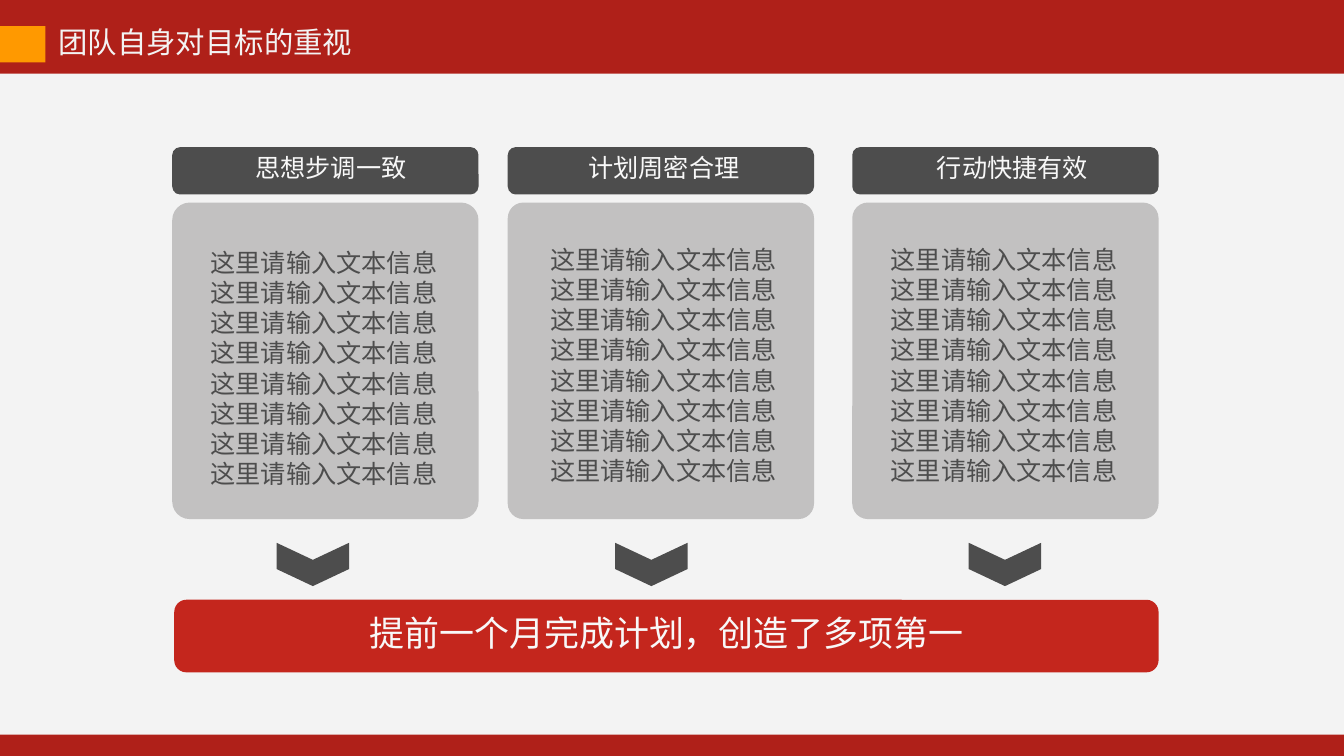
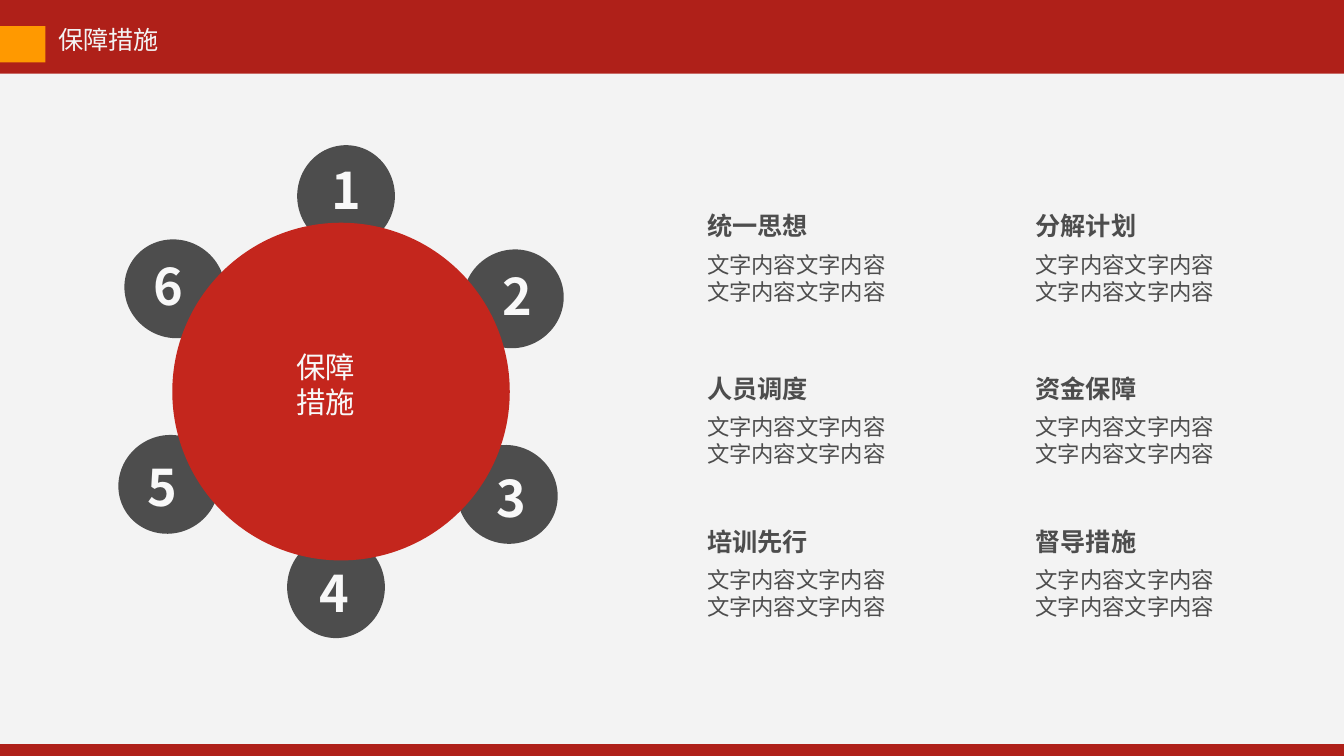
import math
from dataclasses import dataclass
from typing import NamedTuple

from lxml import etree
from pptx import Presentation
from pptx import util as u
from pptx.dml.color import RGBColor
from pptx.enum import shapes, text
from pptx.oxml.ns import qn

PX = 9144  # EMU in one px, 100 px to the inch
SLIDE_WIDTH, SLIDE_HEIGHT = 1334, 750
FONT = "Noto Sans CJK SC"
COLORS = {
    "band": "AF2019",
    "panel": "F3F3F3",
    "accent": "FF9900",
    "red": "C4261D",
    "dark": "4D4D4D",
    "grey": "C2C1C1",
    "light": "F8F8F8",
}
FRAME_FORMAT = {
    "auto_size": text.MSO_AUTO_SIZE.SHAPE_TO_FIT_TEXT,
    "vertical_anchor": text.MSO_ANCHOR.TOP,
    "margin_left": u.Inches(0.1),
    "margin_right": u.Inches(0.1),
    "margin_top": u.Inches(0.05),
    "margin_bottom": u.Inches(0.05),
}
RECTANGLE = shapes.MSO_SHAPE.RECTANGLE
ROUNDED = shapes.MSO_SHAPE.ROUNDED_RECTANGLE
OVAL = shapes.MSO_SHAPE.OVAL
CHEVRON = shapes.MSO_SHAPE.CHEVRON


class Box(NamedTuple):
    left: int
    top: int
    width: int
    height: int


@dataclass(frozen=True)
class TextStyle:
    size: int
    color: str
    bold: bool = False
    align: text.PP_ALIGN = text.PP_ALIGN.LEFT
    wrap: bool = True


@dataclass(frozen=True)
class Column:
    heading: str
    left: int
    heading_box: Box
    list_box: Box
    arrow_left: int
    corner: float


class Measure(NamedTuple):
    heading: str
    left: int
    top: int


COLUMNS = [
    Column("思想步调一致", 171, Box(212, 146, 233, 40), Box(199, 240, 253, 252), 289, 0.057),
    Column("计划周密合理", 504, Box(549, 146, 220, 40), Box(536, 237, 251, 252), 625, 0.051),
    Column("行动快捷有效", 846, Box(887, 146, 236, 40), Box(874, 237, 268, 252), 976, 0.051),
]
MEASURE_ROWS = [
    (204, ("统一思想", "分解计划")),
    (365, ("人员调度", "资金保障")),
    (517, ("培训先行", "督导措施")),
]
MEASURES = [
    Measure(heading, 692 + 326 * index, top)
    for top, headings in MEASURE_ROWS
    for index, heading in enumerate(headings)
]
COLUMN_HEADING = TextStyle(18, "light", align=text.PP_ALIGN.CENTER)
COLUMN_LIST = TextStyle(18, "dark")
CONCLUSION = TextStyle(25, "light", align=text.PP_ALIGN.CENTER)
HUB_TEXT = TextStyle(21, "light", wrap=False)
NUMBER = TextStyle(36, "light", bold=True, wrap=False)
MEASURE_HEADING = TextStyle(18, "dark", bold=True, wrap=False)
MEASURE_TEXT = TextStyle(16, "dark")


def emu(box: Box) -> list[int]:
    return [length * PX for length in box]


def rgb(name: str) -> RGBColor:
    return RGBColor.from_string(COLORS[name])


def centred_box(x: float, y: float, width: int, height: int) -> Box:
    return Box(round(x - width / 2), round(y - height / 2), width, height)


def apply(target, formats: dict) -> None:
    for name, value in formats.items():
        setattr(target, name, value)


def write(shape, lines: list[str], style: TextStyle) -> None:
    """Set one paragraph for each line, with the font for Latin and Chinese text."""
    frame = shape.text_frame
    apply(frame, {**FRAME_FORMAT, "word_wrap": style.wrap})
    for index, line in enumerate(lines):
        paragraph = frame.add_paragraph() if index else frame.paragraphs[0]
        apply(paragraph, {"alignment": style.align, "space_before": u.Pt(0)})
        run = paragraph.add_run()
        run.text = line
        apply(run.font, {"name": FONT, "size": u.Pt(style.size), "bold": style.bold})
        run.font.color.rgb = rgb(style.color)
    for properties in shape.element.iter(qn("a:rPr")):
        etree.SubElement(properties, qn("a:ea"), typeface=FONT)


def add_text(slide, box: Box, lines: list[str], style: TextStyle) -> None:
    write(slide.shapes.add_textbox(*emu(box)), lines, style)


def add_shape(slide, kind, box: Box, color: str, rotation: float = 0, adjust: float | None = None):
    shape = slide.shapes.add_shape(kind, *emu(box))
    shape.shadow.inherit = False
    shape.fill.solid()
    shape.fill.fore_color.rgb = rgb(color)
    shape.line.fill.background()
    shape.rotation = rotation
    if adjust is not None:
        shape.adjustments[0] = adjust
    return shape


def place(placeholder, box: Box, lines: list[str], style: TextStyle) -> None:
    """Move a placeholder to the box, in front of the shapes drawn so far, and fill it."""
    apply(placeholder, dict(zip(("left", "top", "width", "height"), emu(box))))
    placeholder.element.getparent().append(placeholder.element)
    write(placeholder, lines, style)


def place_list(placeholder, box: Box, lines: list[str], style: TextStyle) -> None:
    """Fill a body placeholder without bullets or indents."""
    place(placeholder, box, lines, style)
    for properties in placeholder.element.iter(qn("a:pPr")):
        properties.set("marL", "0")
        properties.set("indent", "0")
        etree.SubElement(properties, qn("a:buNone"))


def start_slide(presentation, layout: str, title: str, title_box: Box, size: int, panel_height: int):
    """Add a slide with the panel between the bands, the title and its marker."""
    slide = presentation.slides.add_slide(presentation.slide_layouts.get_by_name(layout))
    add_shape(slide, RECTANGLE, Box(0, 73, SLIDE_WIDTH, panel_height), "panel")
    place(slide.shapes.title, title_box, [title], TextStyle(size, "panel", wrap=False))
    add_shape(slide, RECTANGLE, Box(0, 26, 45, 36), "accent")
    return slide


def build_goal_slide(presentation) -> None:
    slide = start_slide(
        presentation, "Comparison", "团队自身对目标的重视", Box(48, 19, 320, 46), 21, 656
    )
    bodies = [item for item in slide.placeholders if item.placeholder_format.idx > 0]
    for column, body in zip(COLUMNS, bodies):
        add_shape(slide, ROUNDED, Box(column.left, 201, 304, 314), "grey", adjust=column.corner)
        place_list(body, column.list_box, ["这里请输入文本信息"] * 8, COLUMN_LIST)
        add_shape(slide, ROUNDED, Box(column.left, 146, 304, 47), "dark")
        add_text(slide, column.heading_box, [column.heading], COLUMN_HEADING)
        add_shape(slide, CHEVRON, Box(column.arrow_left, 524, 43, 72), "dark", 90, 0.394)
    for body in bodies[len(COLUMNS):]:
        body.element.getparent().remove(body.element)
    add_shape(slide, ROUNDED, Box(173, 595, 977, 72), "red")
    add_text(slide, Box(337, 602, 649, 54), ["提前一个月完成计划，创造了多项第一"], CONCLUSION)


def build_measures_slide(presentation) -> None:
    slide = start_slide(presentation, "Title Only", "保障措施", Box(48, 19, 121, 40), 18, 665)
    hub_x, hub_y = 338.5, 388.5
    for index in range(6):
        turn = 60 * index
        angle = math.radians(turn + 1.6)
        x, y = math.sin(angle), -math.cos(angle)
        circle = centred_box(hub_x + 194 * x, hub_y + 194 * y, 97, 101)
        add_shape(slide, OVAL, circle, "dark", turn)
        number_box = centred_box(hub_x + 200 * x, hub_y + 200 * y, 51, 71)
        add_text(slide, number_box, [str(index + 1)], NUMBER)
    for measure in MEASURES:
        heading_box = Box(measure.left, measure.top, 121, 40)
        add_text(slide, heading_box, [measure.heading], MEASURE_HEADING)
        text_box = Box(measure.left, measure.top + 40, 220, 64)
        add_text(slide, text_box, ["文字内容文字内容"] * 2, MEASURE_TEXT)
    add_shape(slide, OVAL, Box(171, 221, 335, 335), "red")
    add_text(slide, Box(284, 341, 80, 82), ["保障", "措施"], HUB_TEXT)


def main() -> None:
    presentation = Presentation()
    apply(presentation, {"slide_width": SLIDE_WIDTH * PX, "slide_height": SLIDE_HEIGHT * PX})
    background = presentation.slide_master.background.fill
    background.solid()
    background.fore_color.rgb = rgb("band")
    build_goal_slide(presentation)
    build_measures_slide(presentation)
    presentation.save("out.pptx")


if __name__ == "__main__":
    main()
